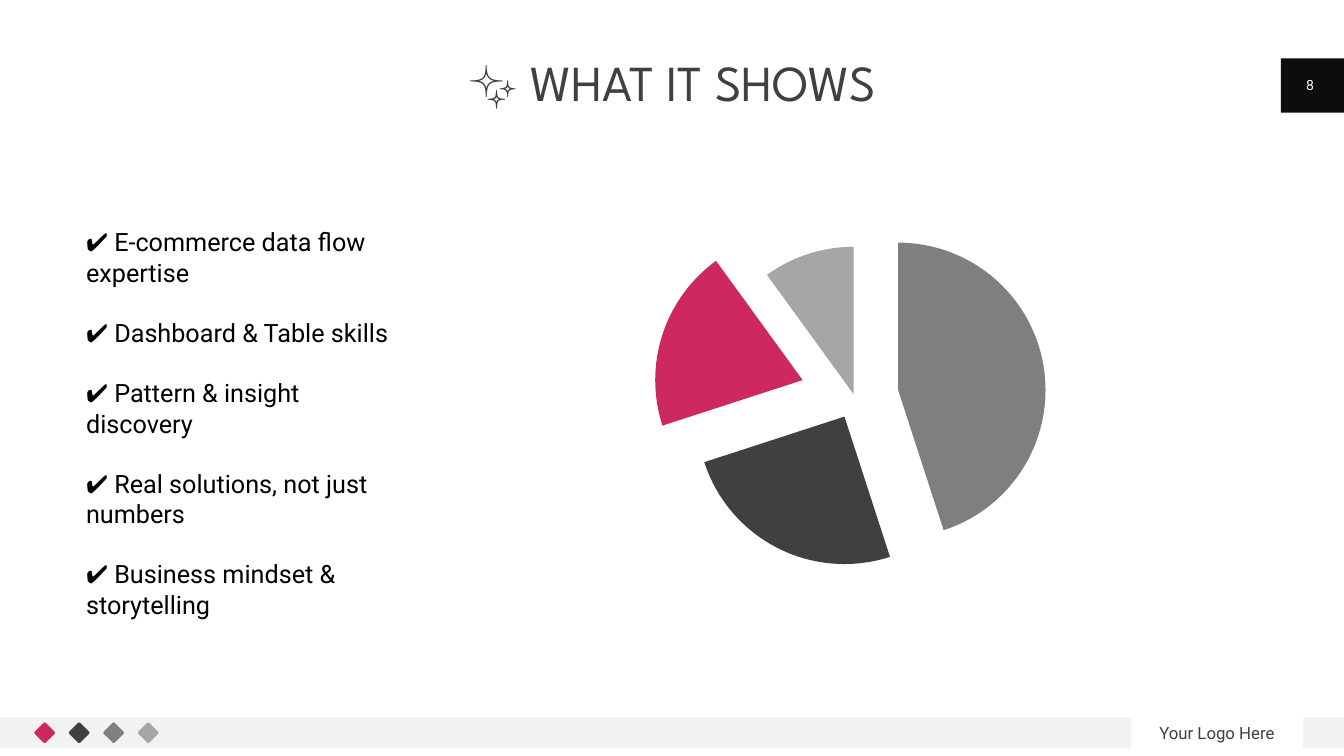
from lxml import etree
from pptx import Presentation
from pptx.chart.data import CategoryChartData
from pptx.dml.color import RGBColor
from pptx.enum.chart import XL_CHART_TYPE as ChartType
from pptx.enum.shapes import MSO_SHAPE as Preset
from pptx.enum.text import MSO_ANCHOR as Anchor, MSO_AUTO_SIZE as AutoSize, PP_ALIGN as Align
from pptx.oxml import parse_xml
from pptx.oxml.ns import nsdecls, qn
from pptx.util import Cm, Pt

PINK, DARK, GRAY, SILVER = "CE295E", "404040", "808080", "A6A6A6"
PALE, BLACK, WHITE = "F2F2F2", "0D0D0D", "FFFFFF"

SKILLS = [
    "✔️ E-commerce data flow expertise",
    "✔️ Dashboard & Table skills",
    "✔️ Pattern & insight discovery",
    "✔️ Real solutions, not just numbers",
    "✔️ Business mindset & storytelling",
]
SLICES = [(45, "7F7F7F", 30), (25, DARK, 15), (20, PINK, 37), (10, SILVER, 2)]


def color(hex_string):
    return RGBColor.from_string(hex_string)


class SlideBuilder:
    title_font = "League Spartan"
    body_font = "Roboto"

    def __init__(self, presentation):
        self.slide = presentation.slides.add_slide(presentation.slide_layouts[5])

    def place(self, shape, box):
        shape.left, shape.top, shape.width, shape.height = map(Cm, box)

    def style(self, paragraph, size, fill, align=Align.LEFT, font=None):
        paragraph.alignment = align
        paragraph.font.name = font or self.body_font
        paragraph.font.size = Pt(size)
        paragraph.font.color.rgb = color(fill)

    def title(self, text, box):
        shape = self.slide.shapes.title
        self.place(shape, box)
        frame = shape.text_frame
        frame.text = text
        frame.margin_left = frame.margin_right = frame.margin_top = frame.margin_bottom = 0
        frame.vertical_anchor = Anchor.TOP
        frame.auto_size = AutoSize.SHAPE_TO_FIT_TEXT
        paragraph = frame.paragraphs[0]
        paragraph.line_spacing = 0.9
        self.style(paragraph, 36, DARK, Align.CENTER, self.title_font)

    def block(self, box, fill, preset=Preset.RECTANGLE):
        shape = self.slide.shapes.add_shape(preset, *map(Cm, box))
        shape.shadow.inherit = False
        shape.fill.solid()
        shape.fill.fore_color.rgb = color(fill)
        shape.line.fill.background()
        return shape

    def diamond(self, box, fill):
        shape = self.block(box, fill, Preset.ROUNDED_RECTANGLE)
        shape.adjustments[0] = 0.11
        shape.rotation = 45

    def text(self, lines, box, size, fill, align=Align.LEFT, anchor=Anchor.TOP, gap=0):
        frame = self.slide.shapes.add_textbox(*map(Cm, box)).text_frame
        frame.word_wrap = True
        frame.vertical_anchor = anchor
        for index, line in enumerate(lines):
            paragraph = frame.add_paragraph() if index else frame.paragraphs[0]
            paragraph.text = line
            paragraph.space_before = Pt(gap if index else 0)
            self.style(paragraph, size, fill, align)

    def pie(self, slices, box):
        data = CategoryChartData()
        data.categories = [str(number) for number in range(1, len(slices) + 1)]
        data.add_series("Series 1", [value for value, _, _ in slices])
        chart = self.slide.shapes.add_chart(ChartType.PIE, *map(Cm, box), data).chart
        chart.has_legend = False
        chart.has_title = False
        chart.font.name = self.body_font
        chart.font.size = Pt(10)
        chart.font.color.rgb = color("000000")
        series = chart.plots[0].series[0]
        for index, (_, fill, explosion) in enumerate(slices):
            point = series.points[index]
            point.format.fill.solid()
            point.format.fill.fore_color.rgb = color(fill)
            data_point = point.format.fill._xPr.getparent()
            offset = etree.Element(qn("c:explosion"), val=str(explosion))
            data_point.find(qn("c:spPr")).addprevious(offset)
        self.center_plot(chart, 0.46, 0.69)

    def center_plot(self, chart, width, height):
        plot_area = chart.plots[0]._element.getparent()
        for layout in plot_area.findall(qn("c:layout")):
            plot_area.remove(layout)
        sizes = {"x": (1 - width) / 2, "y": (1 - height) / 2, "w": width, "h": height}
        values = "".join(f'<c:{key} val="{value:.3f}"/>' for key, value in sizes.items())
        plot_area.insert(0, parse_xml(
            f'<c:layout {nsdecls("c")}><c:manualLayout><c:layoutTarget val="inner"/>'
            f'<c:xMode val="edge"/><c:yMode val="edge"/>{values}</c:manualLayout></c:layout>'))


def main():
    presentation = Presentation()
    presentation.slide_width, presentation.slide_height = Cm(33.87), Cm(19.05)
    builder = SlideBuilder(presentation)

    builder.block((0, 18.08, 28.5, 0.77), PALE)
    builder.block((32.28, 1.47, 1.59, 1.37), BLACK)
    builder.block((32.84, 18.08, 1.03, 0.77), PALE)
    for index, fill in enumerate([PINK, DARK, GRAY, SILVER]):
        builder.diamond((0.93 + 0.87 * index, 18.27, 0.39, 0.39), fill)

    builder.title("✨ WHAT IT SHOWS", (2.33, 1.47, 29.21, 1.4))
    builder.text(["Your Logo Here"], (28.5, 18.08, 4.34, 0.77), 12, DARK, Align.CENTER, Anchor.MIDDLE)
    builder.text(["8"], (32.43, 1.63, 1.17, 1.02), 10, WHITE, Align.CENTER, Anchor.MIDDLE)
    builder.pie(SLICES, (13.46, 4.62, 16.15, 10.77))
    builder.text(SKILLS, (1.92, 5.59, 8.69, 9.5), 18, "000000", gap=21.5)

    presentation.save("out.pptx")


if __name__ == "__main__":
    main()
